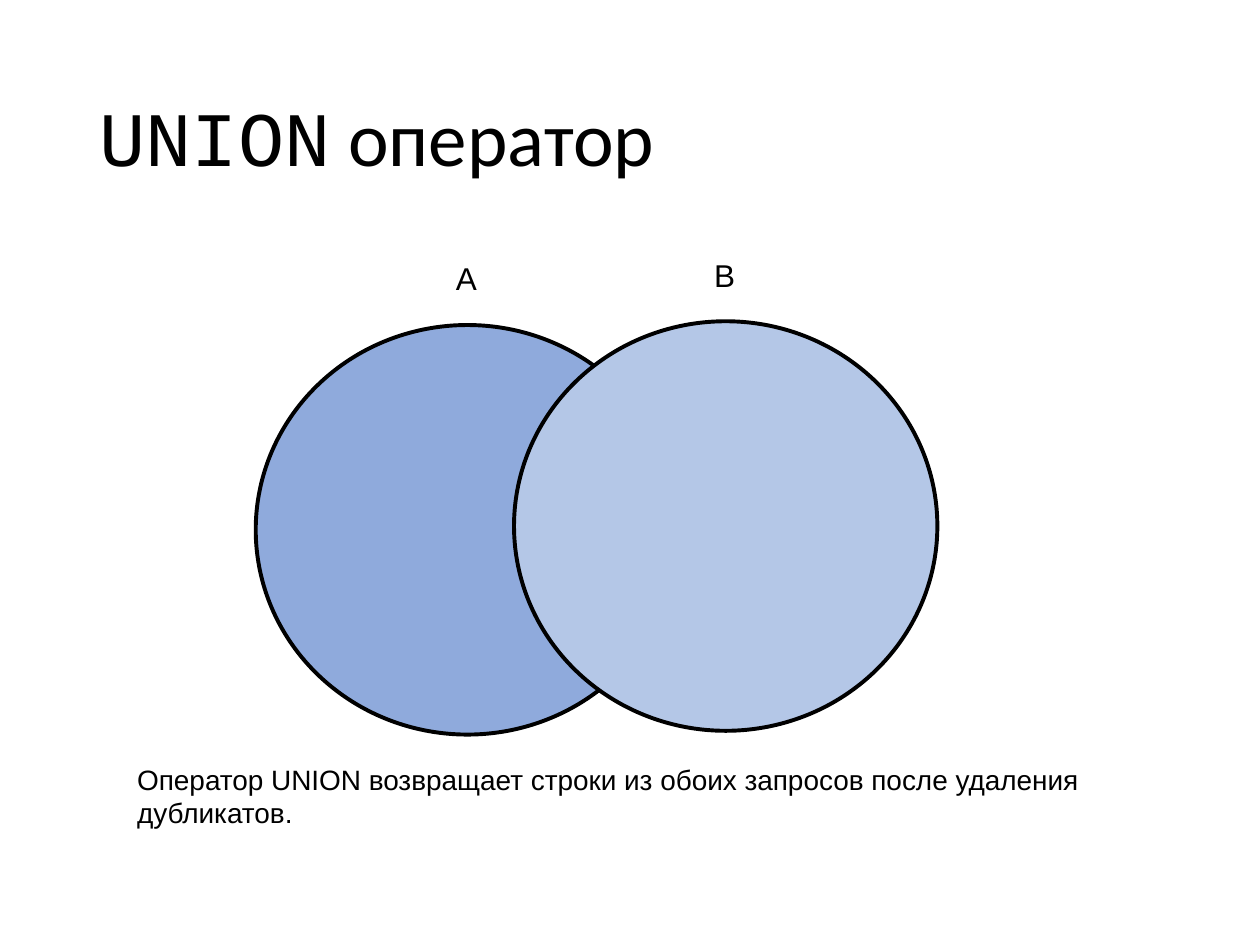
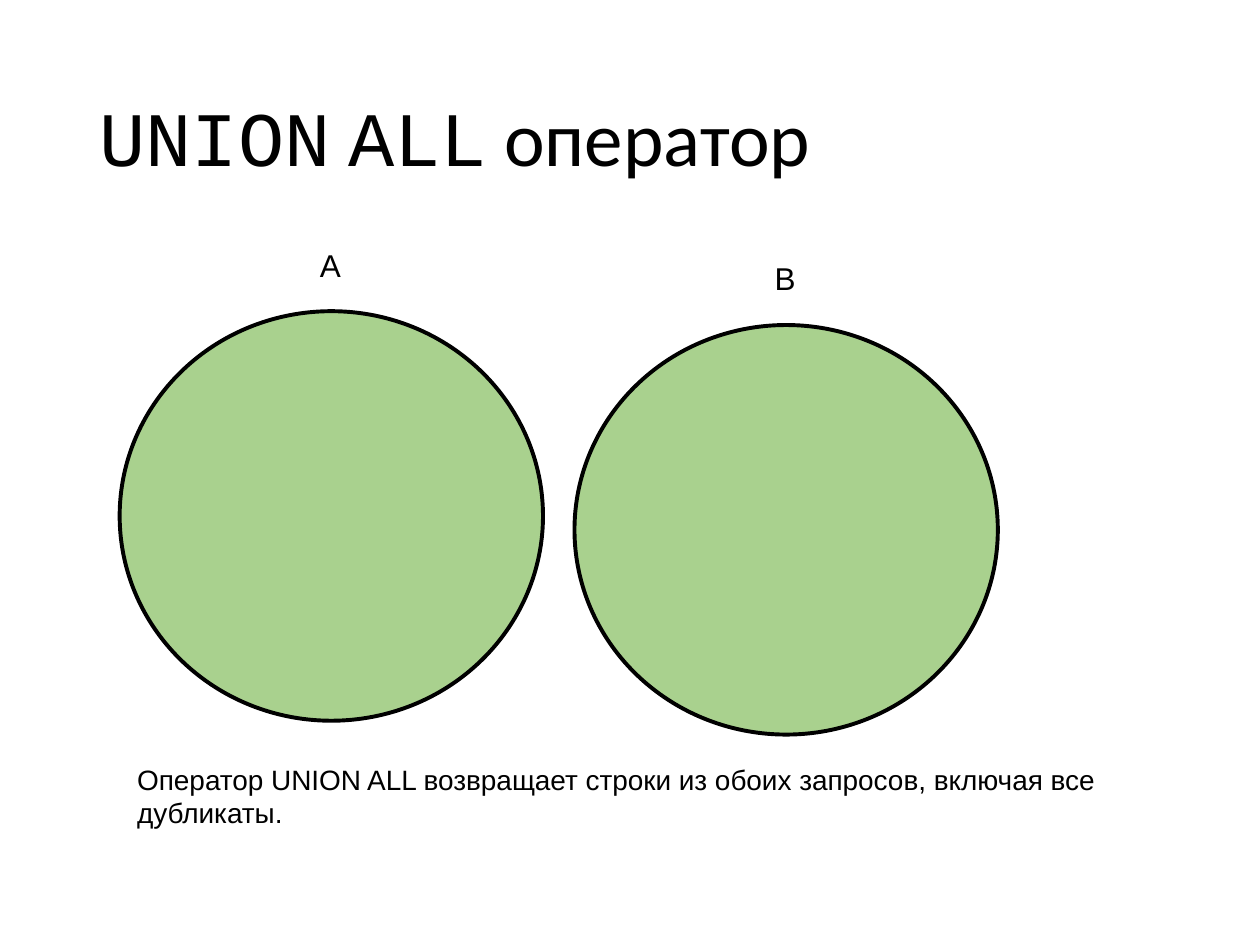
from pptx import Presentation
from pptx.dml.color import RGBColor as Rgb
from pptx.enum.shapes import MSO_SHAPE as Kind
from pptx.enum.text import MSO_ANCHOR as Anchor, MSO_AUTO_SIZE as Fit, PP_ALIGN as Align
from pptx.util import Inches, Pt

BLACK = Rgb(0x00, 0x00, 0x00)
BLUE = Rgb(0x8F, 0xAA, 0xDC)
PALE = Rgb(0xB4, 0xC7, 0xE7)
GREEN = Rgb(0xA9, 0xD1, 0x8E)

COLS, ROWS = 100, 75
SET_W, SET_H = 33.6, 32.5
TAG_W, TAG_H = 3.8, 4
TAG_RISE = 5.7
TITLE_BOX = (6.9, 4, 86.2, 14.5)
NOTE_BOX = (9.9, 60, 79.5, 6.4)

HEAD = {"size": Pt(44), "name": "Calibri"}
CODE = {"size": Pt(44), "name": "Courier New"}
TAG = {"size": Pt(18), "name": "Arial"}
NOTE = {"size": Pt(16), "name": "Arial"}


class Deck:
    def __init__(self):
        self.show = Presentation()
        self.show.slide_width = Inches(10)
        self.show.slide_height = Inches(7.5)
        self.col = self.show.slide_width / COLS
        self.row = self.show.slide_height / ROWS
        self.slide = None

    def place(self, x, y, w, h):
        return [int(n) for n in (x * self.col, y * self.row, w * self.col, h * self.row)]

    def add_run(self, para, text, style):
        run = para.add_run()
        run.text = text
        run.font.color.rgb = BLACK
        for key, value in style.items():
            setattr(run.font, key, value)

    def title(self, words):
        self.slide = self.show.slides.add_slide(self.show.slide_layouts[5])
        head = self.slide.shapes.title
        head.left, head.top, head.width, head.height = self.place(*TITLE_BOX)
        frame = head.text_frame
        frame.auto_size = Fit.NONE
        frame.vertical_anchor = Anchor.MIDDLE
        para = frame.paragraphs[0]
        para.alignment = Align.LEFT
        para.line_spacing = 0.9
        for word in words.split():
            self.add_run(para, word, CODE)
            self.add_run(para, " ", HEAD)
        self.add_run(para, "оператор", HEAD)

    def text(self, box, text, style, wrap):
        frame = self.slide.shapes.add_textbox(*self.place(*box)).text_frame
        frame.word_wrap = wrap
        frame.auto_size = Fit.SHAPE_TO_FIT_TEXT
        self.add_run(frame.paragraphs[0], text, style)

    def circle(self, name, x, y, fill):
        oval = self.slide.shapes.add_shape(Kind.OVAL, *self.place(x, y, SET_W, SET_H))
        oval.shadow.inherit = False
        oval.fill.solid()
        oval.fill.fore_color.rgb = fill
        oval.line.color.rgb = BLACK
        oval.line.width = Pt(2.25)
        left = x + (SET_W - TAG_W) / 2
        self.text((left, y - TAG_RISE, TAG_W, TAG_H), name, TAG, False)

    def note(self, text):
        self.text(NOTE_BOX, text, NOTE, True)


SLIDES = [
    ("UNION",
     [("A", 20.3, 25.8, BLUE), ("B", 40.8, 25.5, PALE)],
     "Оператор UNION возвращает строки из обоих запросов после удаления дубликатов."),
    ("UNION ALL",
     [("A", 9.5, 24.7, GREEN), ("B", 45.6, 25.8, GREEN)],
     "Оператор UNION ALL возвращает строки из обоих запросов, включая все дубликаты."),
]


def main():
    deck = Deck()
    for words, sets, note in SLIDES:
        deck.title(words)
        for item in sets:
            deck.circle(*item)
        deck.note(note)
    deck.show.save("out.pptx")


if __name__ == "__main__":
    main()
